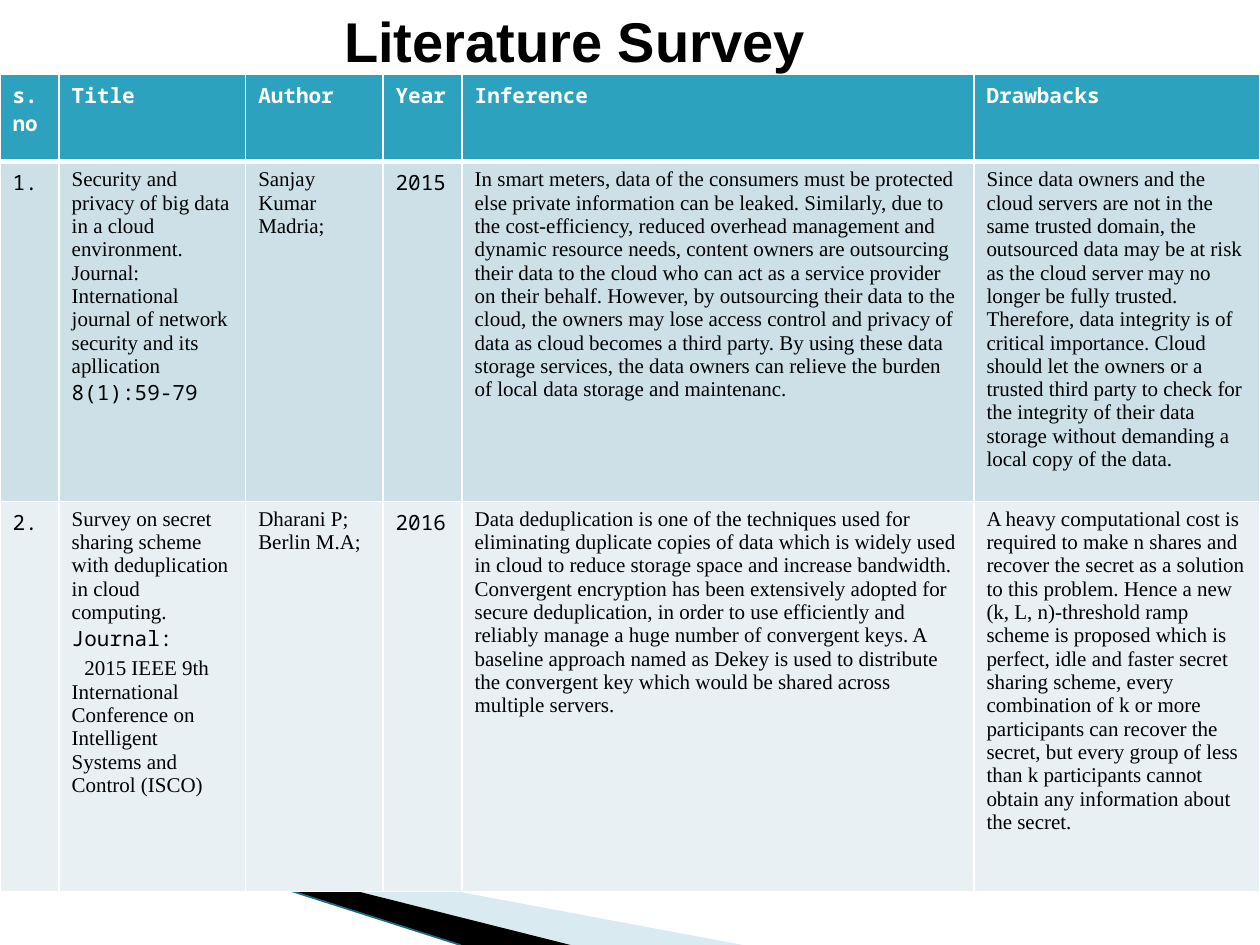
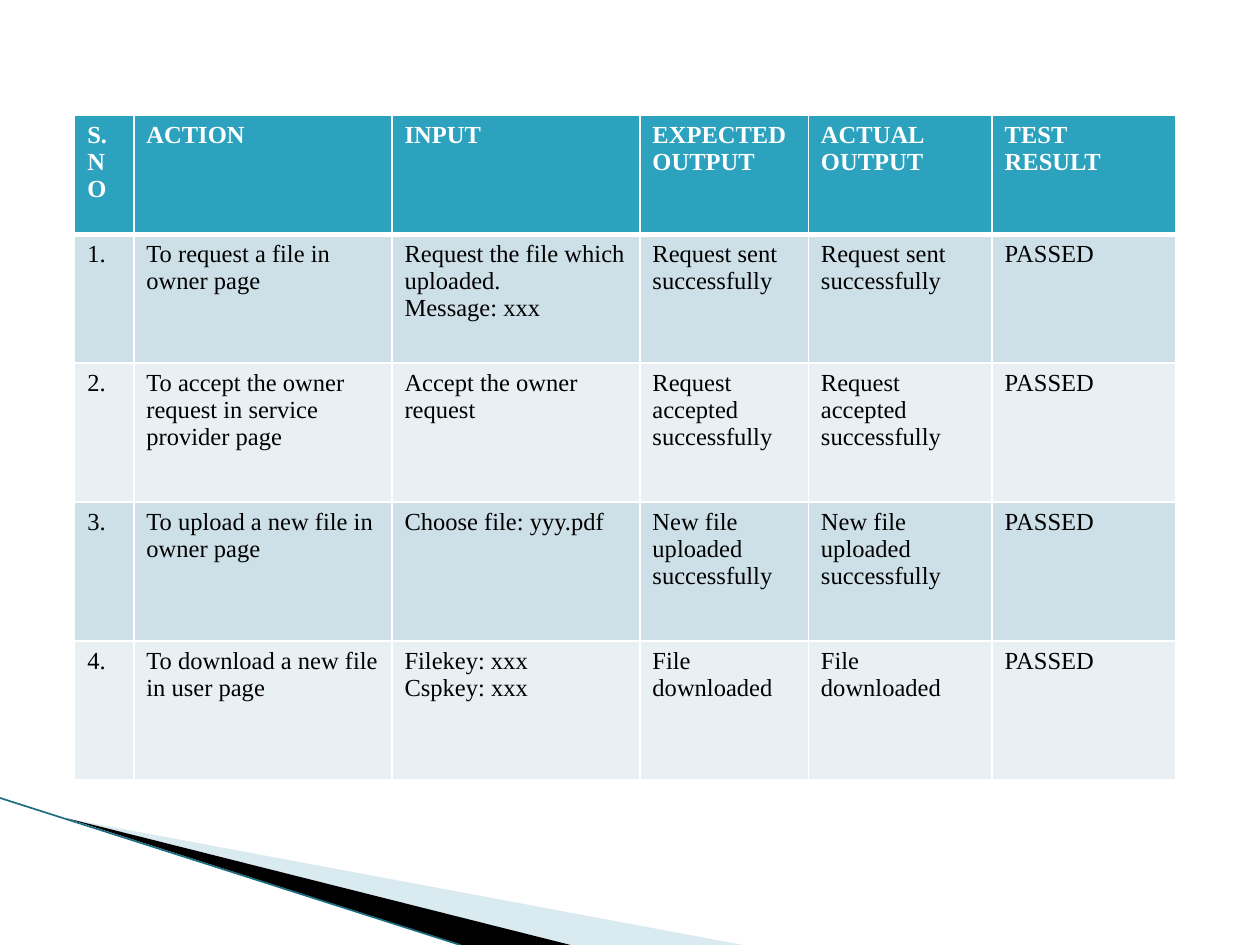
from lxml.etree import SubElement
from pptx import Presentation
from pptx.dml.color import RGBColor
from pptx.enum.shapes import MSO_CONNECTOR
from pptx.enum.text import MSO_ANCHOR, MSO_AUTO_SIZE, PP_ALIGN
from pptx.oxml.ns import qn
from pptx.util import Pt

COLORS = {
    "header": "2DA2BF", "odd": "CDE0E8", "even": "E8F0F4",
    "text": "000000", "inverse": "FFFFFF", "border": "FFFFFF",
    "band_light": "A0CBDC", "band_dark": "000000", "band_line": "1B6E82",
}
SANS, MONO, SERIF = "Arial", "Noto Sans Mono", "Times New Roman"
TITLE_ONLY, BLANK = 5, 6

# Paragraph formats that differ from the rest of their cell
AS_MONO = {"font": MONO}
INDENTED = {"indent": 7.2, "before": 2.5}

SURVEY = [
    ["s.no", "Title", "Author", "Year", "Inference", "Drawbacks"],
    ["1.",
     ["Security and privacy of big data in a cloud environment.",
      "Journal:",
      "International journal of network security and its apllication",
      ("8(1):59-79", AS_MONO)],
     "Sanjay Kumar Madria;",
     "2015",
     "In smart meters, data of the consumers must be protected else private "
     "information can be leaked. Similarly, due to the cost-efficiency, "
     "reduced overhead management and dynamic resource needs, content owners "
     "are outsourcing their data to the cloud who can act as a service "
     "provider on their behalf. However, by outsourcing their data to the "
     "cloud, the owners may lose access control and privacy of data as cloud "
     "becomes a third party. By using these data storage services, the data "
     "owners can relieve the burden of local data storage and maintenanc.",
     "Since data owners and the cloud servers are not in the same trusted "
     "domain, the outsourced data may be at risk as the cloud server may no "
     "longer be fully trusted. Therefore, data integrity is of critical "
     "importance. Cloud should let the owners or a trusted third party to "
     "check for the integrity of their data storage without demanding a "
     "local copy of the data."],
    ["2.",
     ["Survey on secret sharing scheme with deduplication in cloud computing.",
      ("Journal:", AS_MONO),
      ("2015 IEEE 9th International Conference on Intelligent Systems and "
       "Control (ISCO)", INDENTED)],
     "Dharani P; Berlin M.A;",
     "2016",
     "Data deduplication is one of the techniques used for eliminating "
     "duplicate copies of data which is widely used in cloud to reduce "
     "storage space and increase bandwidth. Convergent encryption has been "
     "extensively adopted for secure deduplication, in order to use "
     "efficiently and reliably manage a huge number of convergent keys. A "
     "baseline approach named as Dekey is used to distribute the convergent "
     "key which would be shared across multiple servers.",
     "A heavy computational cost is required to make n shares and recover "
     "the secret as a solution to this problem. Hence a new (k, L, "
     "n)-threshold ramp scheme is proposed which is perfect, idle and faster "
     "secret sharing scheme, every combination of k or more participants can "
     "recover the secret, but every group of less than k participants cannot "
     "obtain any information about the secret."],
]

# Action, input and output of each test; expected and actual output agree
TESTS = [
    ("To request a file in owner page",
     ["Request the file which", "uploaded.", "Message: xxx"],
     "Request sent successfully"),
    ("To accept the owner request in service provider page",
     "Accept the owner request",
     "Request accepted successfully"),
    ("To upload a new file in owner page",
     "Choose file: yyy.pdf",
     "New file uploaded successfully"),
    ("To download a new file in user page",
     ["Filekey: xxx", "Cspkey: xxx"],
     "File downloaded"),
]
TEST_HEADER = ["S.NO", "ACTION", "INPUT", "EXPECTED OUTPUT", "ACTUAL OUTPUT",
               "TEST RESULT"]


def rgb(name):
    return RGBColor.from_string(COLORS[name])


def format_font(font, color, **values):
    for key, value in values.items():
        setattr(font, key, value)
    font.color.rgb = rgb(color)


def add_band(s, points, color, opacity=100):
    points = [(Pt(x), Pt(y)) for x, y in points]
    builder = s.shapes.build_freeform(*points[0], scale=1.0)
    builder.add_line_segments(points[1:], close=True)
    sp = builder.convert_to_shape()
    sp.shadow.inherit = False
    sp.fill.solid()
    sp.fill.fore_color.rgb = rgb(color)
    sp.line.fill.background()
    if opacity < 100:
        clr = sp.fill._xPr.find(".//" + qn("a:srgbClr"))
        SubElement(clr, qn("a:alpha"), val=str(opacity * 1000))


def add_corner_bands(s):
    add_band(s, [(39.6, 468), (424.5, 540), (326, 540)], "band_light", 40)
    add_band(s, [(38.2, 467.6), (326, 540), (263.5, 540)], "band_dark")
    line = s.shapes.add_connector(MSO_CONNECTOR.STRAIGHT, Pt(0), Pt(456),
                                  Pt(263), Pt(540))
    line.line.width = Pt(0.95)
    line.line.color.rgb = rgb("band_line")
    SubElement(line._element.spPr, qn("a:effectLst"))


def add_title(s, text):
    sp = s.shapes.title
    box = {"left": 182, "top": 0, "width": 293, "height": 46}
    for key, value in box.items():
        setattr(sp, key, Pt(value))
    tf = sp.text_frame
    frame = {"word_wrap": False, "auto_size": MSO_AUTO_SIZE.NONE,
             "vertical_anchor": MSO_ANCHOR.TOP}
    for key, value in frame.items():
        setattr(tf, key, value)
    p = tf.paragraphs[0]
    p.alignment = PP_ALIGN.CENTER
    r = p.add_run()
    r.text = text
    format_font(r.font, "text", name=SANS, size=Pt(32), bold=True)


def set_borders(cell, top, bottom):
    tcPr = cell._tc.get_or_add_tcPr()
    for side, width in (("L", 1), ("R", 1), ("T", top), ("B", bottom)):
        ln = SubElement(tcPr, qn("a:ln" + side), w=str(Pt(width)))
        fill = SubElement(ln, qn("a:solidFill"))
        SubElement(fill, qn("a:srgbClr"), val=COLORS["border"])


def fill_cell(cell, content, font, size, color, bold):
    paragraphs = [content] if isinstance(content, str) else content
    tf = cell.text_frame
    for i, item in enumerate(paragraphs):
        text, fmt = (item, {}) if isinstance(item, str) else item
        p = tf.add_paragraph() if i else tf.paragraphs[0]
        if "indent" in fmt:
            p._p.get_or_add_pPr().set("indent", str(Pt(fmt["indent"])))
            p.space_before = Pt(fmt["before"])
        r = p.add_run()
        r.text = text
        format_font(r.font, color, name=fmt.get("font", font), size=Pt(size),
                    bold=bold)


def add_grid(s, rows, left, top, widths, heights, size, header_font,
             mono_columns=()):
    frame = s.shapes.add_table(len(rows), len(widths), Pt(left), Pt(top),
                               Pt(sum(widths)), Pt(sum(heights)))
    table = frame.table
    for column, width in zip(table.columns, widths):
        column.width = Pt(width)
    for i, (row, height) in enumerate(zip(rows, heights)):
        table.rows[i].height = Pt(height)
        header = i == 0
        fill = "header" if header else "odd" if i % 2 else "even"
        for j, content in enumerate(row):
            cell = table.cell(i, j)
            font = (header_font if header
                    else MONO if j in mono_columns else SERIF)
            fill_cell(cell, content, font, size,
                      "inverse" if header else "text", header)
            set_borders(cell, 3 if i == 1 else 1, 3 if header else 1)
            cell.fill.solid()
            cell.fill.fore_color.rgb = rgb(fill)


def add_slide(prs, layout):
    s = prs.slides.add_slide(prs.slide_layouts[layout])
    add_corner_bands(s)
    return s


def main():
    prs = Presentation()
    prs.slide_width, prs.slide_height = Pt(720), Pt(540)

    # Literature survey
    s = add_slide(prs, TITLE_ONLY)
    add_title(s, "Literature Survey")
    add_grid(s, SURVEY, 0, 42.5, [33.8, 106.6, 78.5, 45.2, 292.5, 163.4],
             [50, 194, 223], 12, MONO, mono_columns=(0, 3))

    # Test cases
    s = add_slide(prs, BLANK)
    tests = [[f"{n}.", action, entry, output, output, "PASSED"]
             for n, (action, entry, output) in enumerate(TESTS, 1)]
    add_grid(s, [TEST_HEADER] + tests, 42.7, 66,
             [33.8, 147.5, 141.7, 96.3, 105, 105],
             [68, 73.6] + [79.4] * 3, 14, SERIF)

    prs.save("out.pptx")


if __name__ == "__main__":
    main()
